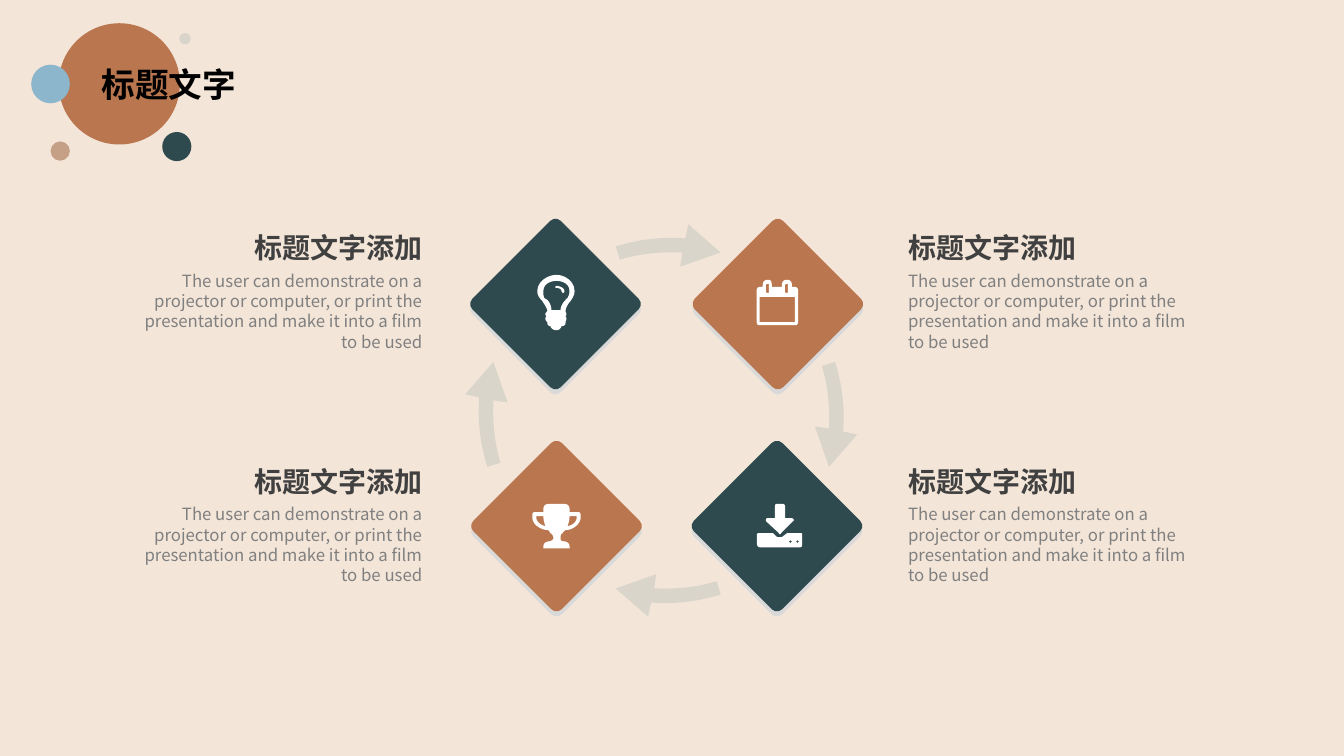
from lxml import etree
from pptx import Presentation
from pptx.dml.color import RGBColor
from pptx.enum.shapes import MSO_SHAPE
from pptx.enum.text import MSO_AUTO_SIZE, PP_ALIGN
from pptx.oxml.ns import qn
from pptx.util import Pt

OVAL, ROUNDED = MSO_SHAPE.OVAL, MSO_SHAPE.ROUNDED_RECTANGLE
LEFT, RIGHT = PP_ALIGN.LEFT, PP_ALIGN.RIGHT
GROW = MSO_AUTO_SIZE.SHAPE_TO_FIT_TEXT
FONT = "Noto Sans CJK SC"
COLORS = {
    "sand": "F3E5D8", "clay": "BA764F", "sky": "8BB6CB", "tan": "C5A086",
    "teal": "2E4A4E", "stone": "D9D5CA", "shade": "D9D9D9", "white": "FFFFFF",
    "black": "000000", "dark": "404040", "gray": "808080",
}
HEADING = "标题文字添加"
BODY = ("The user can demonstrate on a projector or computer, or print the "
        "presentation and make it into a film to be used")

# Outlines: lists of contours in units of 0.72 pt.
# A pair is a straight step; six numbers are a cubic curve.
UNIT = Pt(0.72)
CURVE_STEPS = 6
ARROW = [[(0, 22), (4, 35), (24, 29, 45, 27, 66, 28), (64, 42), (104, 28),
          (72, 0), (69, 14), (46, 12, 22, 15, 0, 22)]]
BULB = [
    [(33, 26), (31, 28, 28, 33, 28, 36), (28, 37, 29, 38, 29, 39),
     (29, 40, 28, 41, 28, 42), (28, 42, 29, 42, 29, 43),
     (29, 45, 28, 46, 28, 47), (28, 48), (28, 50, 26, 51, 24, 51),
     (23, 54, 21, 55, 19, 55), (17, 55, 14, 54, 13, 51),
     (12, 51, 10, 50, 10, 48), (10, 47), (9, 46, 8, 45, 8, 43),
     (8, 42, 9, 42, 9, 42), (9, 41, 8, 40, 8, 39), (8, 38, 9, 37, 10, 36),
     (10, 33, 6, 28, 5, 26), (2, 23, 0, 20, 0, 16), (0, 7, 10, 0, 19, 0),
     (28, 0, 37, 7, 37, 16), (37, 20, 35, 23, 33, 26)],
    [(19, 6), (13, 6, 6, 9, 6, 16), (6, 19, 6, 21, 7, 23),
     (8, 24, 9, 24, 10, 25), (13, 28, 14, 32, 14, 35), (23, 35),
     (23, 32, 25, 28, 28, 25), (28, 24, 29, 24, 30, 23),
     (31, 21, 32, 19, 32, 16), (32, 9, 25, 6, 19, 6)],
    [(26, 18), (25, 18, 24, 17, 24, 16), (24, 14, 21, 13, 19, 13),
     (18, 13, 18, 13, 18, 12), (18, 12, 18, 11, 19, 11),
     (22, 11, 27, 13, 27, 16), (27, 17, 26, 18, 26, 18)],
]
CALENDAR = [
    [(41, 42), (41, 44, 40, 45, 38, 45), (3, 45), (1, 45, 0, 44, 0, 42),
     (0, 10), (0, 9, 1, 7, 3, 7), (6, 7), (6, 5), (6, 2, 8, 0, 10, 0),
     (12, 0), (14, 0, 15, 2, 15, 5), (15, 7), (25, 7), (25, 5),
     (25, 2, 27, 0, 29, 0), (31, 0), (33, 0, 35, 2, 35, 5), (35, 7), (38, 7),
     (40, 7, 41, 9, 41, 10)],
    [(38, 42), (38, 17), (3, 17), (3, 42)],
] + [[(x + 3, 5), (x + 3, 4), (x + 1, 4), (x, 5), (x, 12), (x + 1, 13),
      (x + 3, 13), (x + 3, 12)] for x in (9, 28)]
DOWNLOAD = [
    [(45, 39), (45, 41, 45, 43, 43, 43), (3, 43), (1, 43, 0, 41, 0, 39),
     (0, 31), (0, 29, 1, 29, 3, 29), (16, 29), (19, 32),
     (20, 33, 22, 33, 22, 33), (24, 33, 25, 33, 26, 32), (30, 29), (43, 29),
     (45, 29, 45, 29, 45, 31)],
    [(36, 17), (24, 29), (24, 30, 23, 30, 22, 30), (22, 29), (9, 17), (9, 16),
     (9, 15, 10, 14, 10, 14), (18, 14), (18, 2), (18, 1, 19, 0, 19, 0),
     (26, 0), (27, 0, 28, 1, 28, 2), (28, 14), (35, 14),
     (35, 14, 36, 15, 37, 16)],
] + [[(x + 1, 36), (x, 37), (x + 1, 39), (x + 3, 37)] for x in (32, 39)]
TROPHY = [
    [(48, 14), (48, 19, 41, 26, 33, 26), (31, 27, 30, 29, 30, 29),
     (28, 30, 28, 32, 28, 34), (28, 35, 28, 37, 31, 37),
     (34, 37, 37, 39, 37, 42), (37, 44), (11, 44), (11, 42),
     (11, 39, 14, 37, 17, 37), (19, 37, 21, 35, 21, 34),
     (21, 32, 20, 30, 18, 29), (18, 29, 17, 27, 16, 26), (7, 26, 0, 19, 0, 14),
     (0, 11), (0, 9, 1, 8, 3, 8), (11, 8), (11, 5), (11, 2, 13, 0, 16, 0),
     (32, 0), (35, 0, 37, 2, 37, 5), (37, 8), (45, 8), (47, 8, 48, 9, 48, 11)],
    [(11, 12), (4, 12), (4, 14), (4, 17, 8, 21, 13, 22),
     (12, 19, 11, 16, 11, 12)],
    [(44, 12), (37, 12), (37, 16, 36, 19, 35, 22), (41, 21, 44, 17, 44, 14)],
]


def paint(sp, color):
    sp.fill.solid()
    sp.fill.fore_color.rgb = RGBColor.from_string(COLORS[color])
    sp.line.fill.background()
    sp.shadow.inherit = False
    return sp


def add_preset(slide, kind, x, y, size, color):
    return paint(slide.shapes.add_shape(kind, Pt(x), Pt(y), Pt(size), Pt(size)), color)


def flatten(contour):
    """Turn a contour into points in EMU, sampling its curves."""
    points = [contour[0]]
    for step in contour[1:]:
        if len(step) == 2:
            points.append(step)
            continue
        controls = (points[-1], step[:2], step[2:4], step[4:])
        for i in range(1, CURVE_STEPS + 1):
            t = i / CURVE_STEPS
            weights = ((1 - t) ** 3, 3 * t * (1 - t) ** 2, 3 * t * t * (1 - t), t ** 3)
            points.append(tuple(sum(w * c[axis] for w, c in zip(weights, controls))
                                for axis in (0, 1)))
    return [(x * UNIT, y * UNIT) for x, y in points]


def add_outline(slide, contours, x, y, color):
    first, *others = [flatten(contour) for contour in contours]
    builder = slide.shapes.build_freeform(*first[0], scale=1.0)
    builder.add_line_segments(first[1:], close=True)
    for points in others:
        builder.move_to(*points[0])
        builder.add_line_segments(points[1:], close=True)
    return paint(builder.convert_to_shape(Pt(x), Pt(y)), color)


def add_text(slide, text, x, y, w, h, *, size, color, bold=False, align=LEFT, wrap=False):
    tf = slide.shapes.add_textbox(Pt(x), Pt(y), Pt(w), Pt(h)).text_frame
    tf.word_wrap = wrap
    tf.auto_size = GROW
    p = tf.paragraphs[0]
    p.alignment = align
    p.line_spacing = Pt(round(size * 1.21, 1))
    r = p.add_run()
    r.text = text
    r.font.size, r.font.bold, r.font.name = Pt(size), bold, FONT
    r.font.color.rgb = RGBColor.from_string(COLORS[color])
    etree.SubElement(r.font._element, qn("a:ea"), typeface=FONT)


def add_title(slide, x, y):
    for dx, dy, size, color in [(19.6, 0, 86.6, "clay"), (0, 29.6, 27.6, "sky"),
                                (13.8, 84.4, 13.8, "tan"), (93.6, 77.7, 20.8, "teal"),
                                (105.8, 7, 8.1, "stone")]:
        add_preset(slide, OVAL, x + dx, y + dy, size, color)
    add_text(slide, "标题文字", x + 43.2, y + 25.2, 111.6, 36,
             size=24, color="black", bold=True)


def add_tile(slide, cx, cy, color, icon, dx, dy):
    """Draw a rounded diamond with its shade, and an icon offset from the centre."""
    side = 89.3
    for drop, fill in ((3.6, "shade"), (0, color)):
        sp = add_preset(slide, ROUNDED, cx - side / 2, cy - side / 2 + drop, side, fill)
        sp.adjustments[0] = 0.06
        sp.rotation = 45
    add_outline(slide, icon, cx + dx, cy + dy, "white")


def add_cycle(slide, x, y):
    w, h = 74.9, 30.2
    for quarter, (cx, cy) in enumerate([(144.7, 19.3), (264.6, 140), (144.7, 269.3), (14.8, 140)]):
        add_outline(slide, ARROW, x + cx - w / 2, y + cy - h / 2, "stone").rotation = 90 * quarter
    for cx, cy, color, icon, dx, dy in [(64.2, 61.2, "teal", BULB, -13, -20.9),
                                        (223, 61.2, "clay", CALENDAR, -15.1, -17.3),
                                        (222.4, 219.8, "teal", DOWNLOAD, -14.4, -15.8),
                                        (64.9, 219.8, "clay", TROPHY, -17.3, -15.8)]:
        add_tile(slide, x + cx, y + cy, color, icon, dx, dy)


def add_caption(slide, x, y, align):
    w, heading_w = 224.6, 135.4
    heading_x = x + w - heading_w if align == RIGHT else x
    add_text(slide, BODY, x, y + 28.4, w, 65.5, size=12, color="gray", align=align, wrap=True)
    add_text(slide, HEADING, heading_x, y, heading_w, 31.7,
             size=20, color="dark", bold=True, align=align)


def main():
    prs = Presentation()
    prs.slide_width, prs.slide_height = Pt(960), Pt(540)
    slide = prs.slides.add_slide(prs.slide_layouts[6])
    slide.background.fill.solid()
    slide.background.fill.fore_color.rgb = RGBColor.from_string(COLORS["sand"])
    add_title(slide, 22.3, 16.6)
    add_cycle(slide, 332.6, 156)
    for x, align in ((641.5, LEFT), (84.2, RIGHT)):
        for y in (161, 328):
            add_caption(slide, x, y, align)
    prs.save("out.pptx")


if __name__ == "__main__":
    main()
